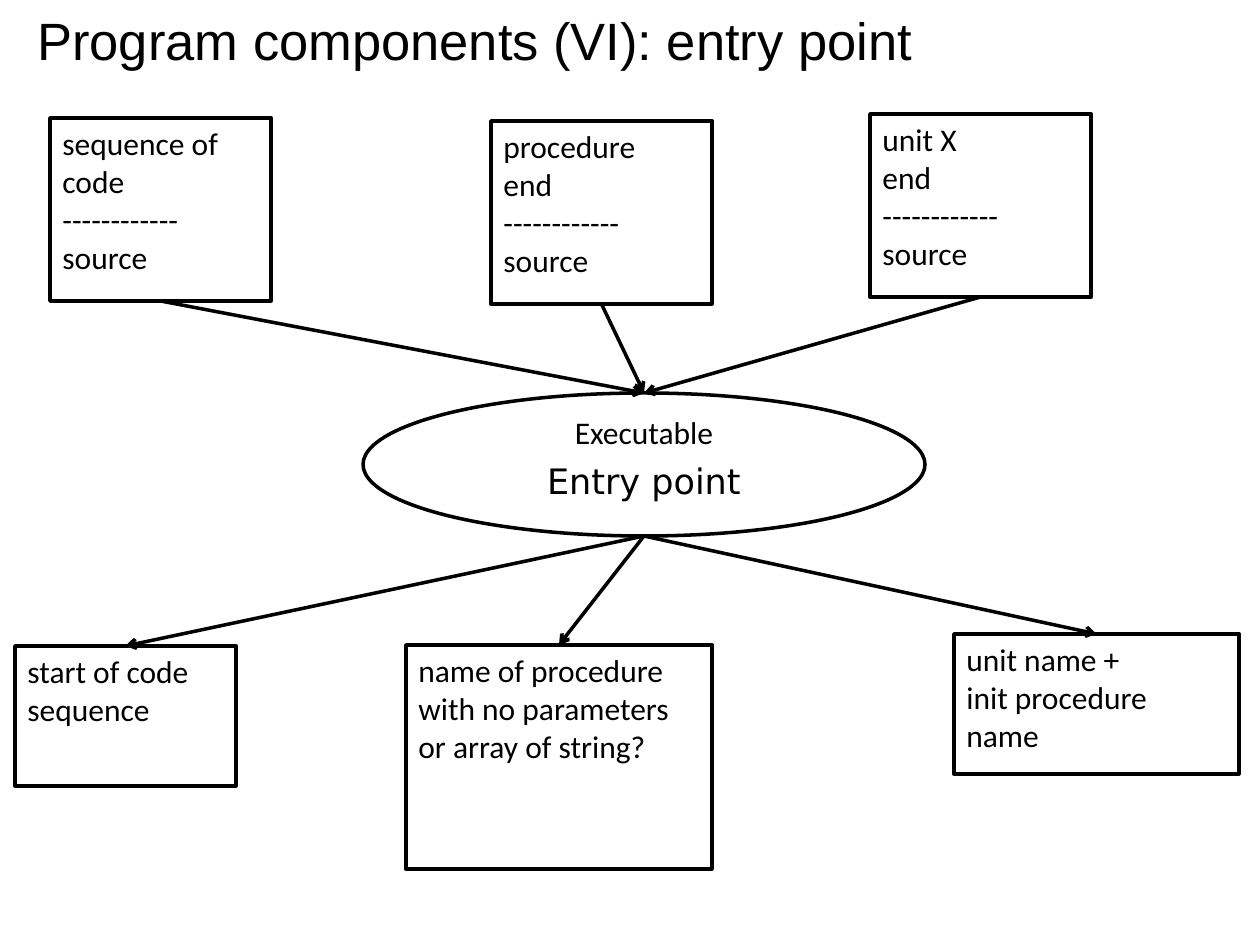
import pptx
import pptx.dml.color
import pptx.enum.shapes
import pptx.enum.text
import pptx.oxml
import pptx.oxml.ns
import pptx.util

SCALE = 914400 / 126  # EMU per px
BLACK = "000000"
WHITE = "FFFFFF"
TOP, BOTTOM = 0, 2  # connection sites of a rectangle


def px(n):
    return pptx.util.Emu(round(n * SCALE))


def color(value):
    return pptx.dml.color.RGBColor.from_string(value)


class Deck:
    font = "Calibri"
    size = 18
    line_width = 2

    def __init__(self, width, height):
        self.prs = pptx.Presentation()
        self.prs.slide_width, self.prs.slide_height = px(width), px(height)
        self.s = self.prs.slides.add_slide(self.prs.slide_layouts[6])
        self.s.background.fill.solid()
        self.s.background.fill.fore_color.rgb = color(WHITE)

    def style(self, p, text, font, size):
        p.text = text
        p.font.name = font
        p.font.size = pptx.util.Pt(size)
        p.font.color.rgb = color(BLACK)

    def outline(self, line):
        line.color.rgb = color(BLACK)
        line.width = pptx.util.Pt(self.line_width)

    def title(self, x, y, w, h, text):
        tf = self.s.shapes.add_textbox(px(x), px(y), px(w), px(h)).text_frame
        tf.word_wrap = True
        tf.vertical_anchor = pptx.enum.text.MSO_ANCHOR.MIDDLE
        self.style(tf.paragraphs[0], text, "Arial", 30)

    def shape(self, kind, x, y, w, h):
        sp = self.s.shapes.add_shape(kind, px(x), px(y), px(w), px(h))
        sp.shadow.inherit = False
        sp.fill.background()
        self.outline(sp.line)
        sp.text_frame.word_wrap = True
        return sp

    def box(self, x, y, w, h, lines):
        sp = self.shape(pptx.enum.shapes.MSO_SHAPE.RECTANGLE, x, y, w, h)
        tf = sp.text_frame
        tf.vertical_anchor = pptx.enum.text.MSO_ANCHOR.TOP
        for i, text in enumerate(lines):
            p = tf.add_paragraph() if i else tf.paragraphs[0]
            self.style(p, text, self.font, self.size)
            p.alignment = pptx.enum.text.PP_ALIGN.LEFT
        return sp

    def ellipse(self, x, y, w, h, lines):
        sp = self.shape(pptx.enum.shapes.MSO_SHAPE.OVAL, x, y, w, h)
        tf = sp.text_frame
        tf.vertical_anchor = pptx.enum.text.MSO_ANCHOR.TOP
        for i, (text, font, size) in enumerate(lines):
            p = tf.add_paragraph() if i else tf.paragraphs[0]
            self.style(p, text, font, size)
            p.alignment = pptx.enum.text.PP_ALIGN.CENTER
            p.line_spacing = 0.8
            p.space_before = pptx.util.Pt(size / 2)
        return sp

    def arrow(self, start, end):
        """Draw an arrow between two (x, y) points in EMU."""
        c = self.s.shapes.add_connector(
            pptx.enum.shapes.MSO_CONNECTOR.STRAIGHT, *start, *end)
        self.outline(c.line)
        ln = c.line._get_or_add_ln()
        ln.append(pptx.oxml.parse_xml(
            f'<a:tailEnd {pptx.oxml.ns.nsdecls("a")} type="arrow"/>'))
        c._element.spPr.append(pptx.oxml.parse_xml(
            f'<a:effectLst {pptx.oxml.ns.nsdecls("a")}/>'))
        return c


def top_of(sp):
    return sp.left + sp.width // 2, sp.top


def bottom_of(sp):
    return sp.left + sp.width // 2, sp.top + sp.height


def main():
    deck = Deck(1260, 945)
    deck.title(25, 1, 1134, 77, "Program components (VI): entry point")

    # Executable in the centre
    executable = deck.ellipse(363, 393, 562, 143, [
        ("Executable", deck.font, deck.size),
        ("Entry point", "DejaVu Sans", 20),
    ])

    # Sources that feed the executable
    rule = ["------------", "source"]
    sources = [
        (50, 118, ["sequence of code"]),
        (491, 121, ["procedure", "end"]),
        (870, 114, ["unit X", "end"]),
    ]
    for x, y, lines in sources:
        sp = deck.box(x, y, 221, 183, lines + rule)
        c = deck.arrow(bottom_of(sp), top_of(executable))
        c.begin_connect(sp, BOTTOM)
        c.end_connect(executable, TOP)

    # Entry points of each kind
    entries = [
        (15, 646, 221, 140, ["start of code sequence"]),
        (406, 645, 306, 224,
         ["name of procedure", "with no parameters or array of string?"]),
        (954, 634, 285, 140, ["unit name +", "init procedure name"]),
    ]
    for x, y, w, h, lines in entries:
        sp = deck.box(x, y, w, h, lines)
        c = deck.arrow(bottom_of(executable), top_of(sp))
        c.end_connect(sp, TOP)

    deck.prs.save("out.pptx")


if __name__ == "__main__":
    main()
